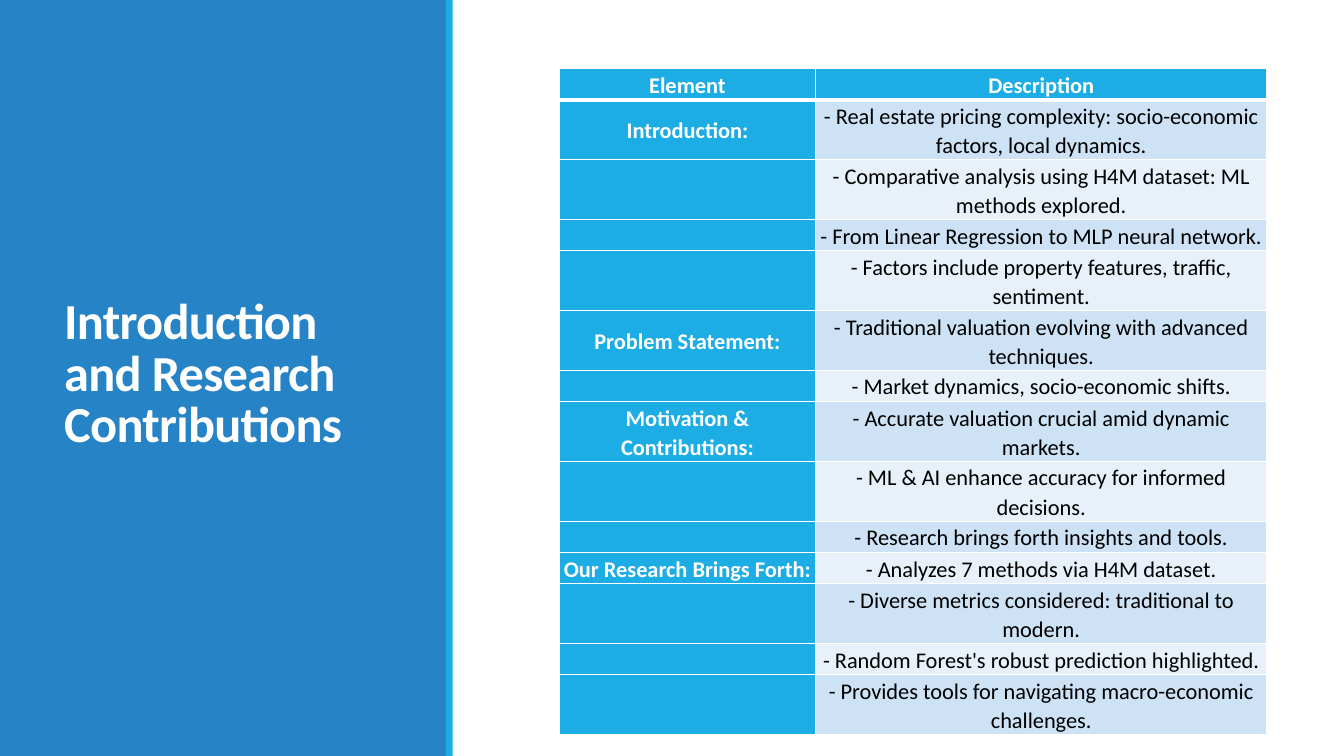
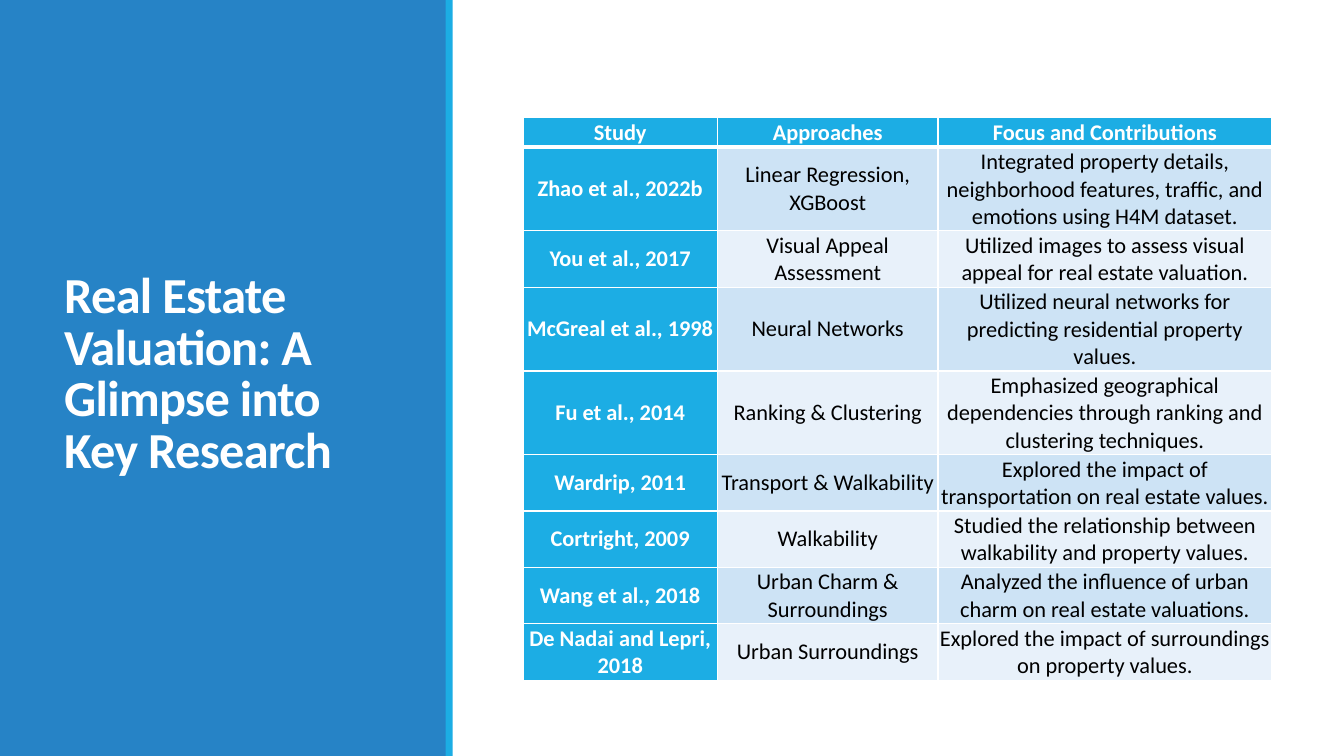
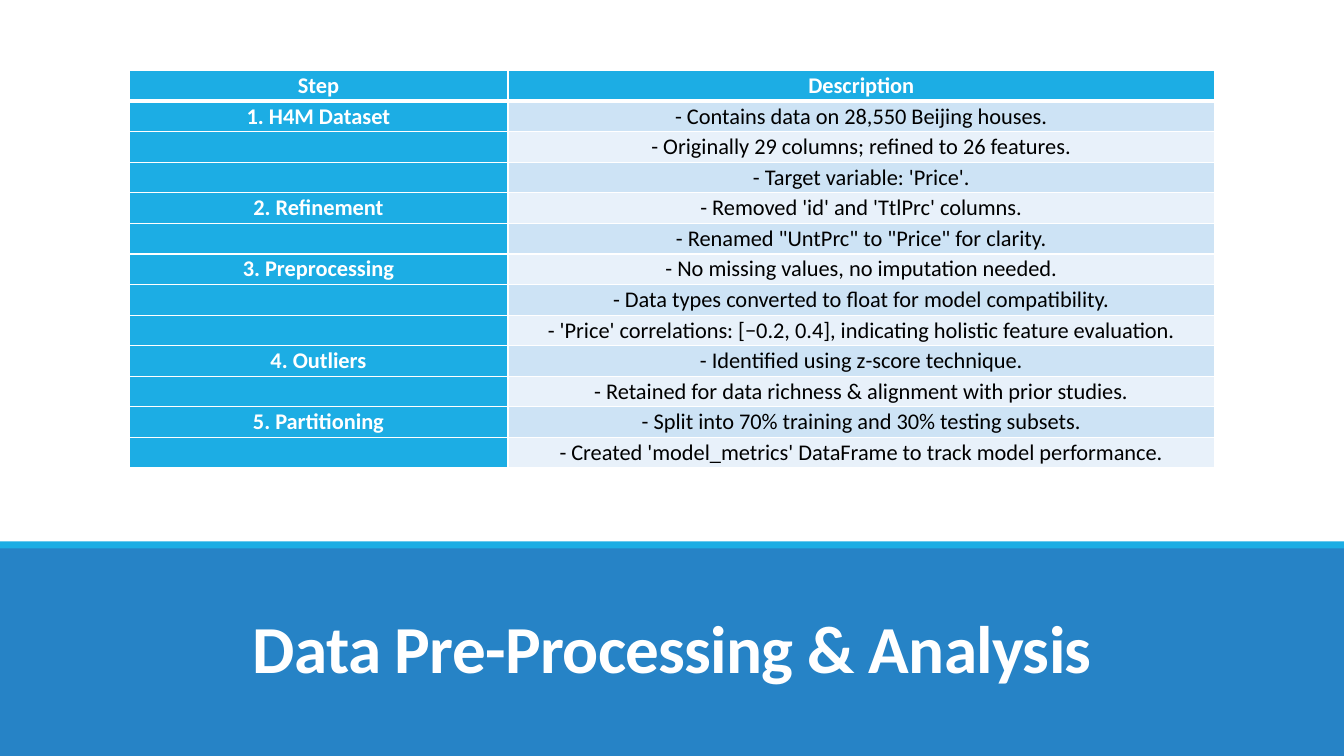
from dataclasses import dataclass

from pptx import Presentation
from pptx import util as u
from pptx.dml.color import RGBColor
from pptx.enum import shapes, text
from pptx.oxml import ns, parse_xml


@dataclass(frozen=True)
class Theme:
    font: str = "Calibri"
    panel: str = "2683C6"
    accent: str = "1CADE4"
    bands: tuple = ("CDE3F5", "E8F1FA")
    light: str = "FFFFFF"
    dark: str = "000000"
    side_title: int = 36
    bottom_title: int = 48
    table_text: int = 16
    thin_border: int = 1
    thick_border: int = 3


class Deck:
    width, height = 33.87, 19.05
    stripe = 0.18

    def __init__(self, theme):
        self.theme = theme
        self.presentation = Presentation()
        self.presentation.slide_width = u.Cm(self.width)
        self.presentation.slide_height = u.Cm(self.height)
        self.slide = None

    def new_slide(self):
        blank = self.presentation.slide_layouts[6]
        self.slide = self.presentation.slides.add_slide(blank)

    def block(self, box, color):
        block = self.slide.shapes.add_shape(
            shapes.MSO_SHAPE.RECTANGLE, *map(u.Cm, box))
        block.shadow.inherit = False
        block.fill.solid()
        block.fill.fore_color.rgb = RGBColor.from_string(color)
        block.line.fill.background()

    def style(self, paragraph, size, color, bold, align):
        paragraph.alignment = align
        font = paragraph.font
        font.name = self.theme.font
        font.size = u.Pt(size)
        font.bold = bold
        font.color.rgb = RGBColor.from_string(color)

    def title(self, wording, box, size, anchor, align):
        frame = self.slide.shapes.add_textbox(*map(u.Cm, box)).text_frame
        frame.word_wrap = True
        frame.vertical_anchor = anchor
        paragraph = frame.paragraphs[0]
        paragraph.text = wording
        paragraph.line_spacing = 0.85
        self.style(paragraph, size, self.theme.light, True, align)
        paragraph._p.pPr.find(ns.qn("a:defRPr")).set("spc", "-50")

    def side_panel(self, wording):
        self.block((0, 0, 11.25, self.height), self.theme.panel)
        self.title(wording, (1.37, 1.45, 8.56, 16.03), self.theme.side_title,
                   text.MSO_ANCHOR.MIDDLE, text.PP_ALIGN.LEFT)
        self.block((11.23, 0, self.stripe, self.height), self.theme.accent)

    def bottom_panel(self, wording):
        self.block((0, 13.77, self.width, 5.28), self.theme.panel)
        self.title(wording, (2.97, 14.58, 27.94, 2.87),
                   self.theme.bottom_title,
                   text.MSO_ANCHOR.BOTTOM, text.PP_ALIGN.CENTER)
        self.block((0, 13.64, self.width, self.stripe), self.theme.accent)

    def borders(self, cell, row):
        properties = cell._tc.get_or_add_tcPr()
        thick_edge = {0: "B", 1: "T"}.get(row)
        for edge in "LRTB":
            points = (self.theme.thick_border if edge == thick_edge
                      else self.theme.thin_border)
            properties.append(parse_xml(
                f'<a:ln{edge} {ns.nsdecls("a")} w="{u.Pt(points)}">'
                f'<a:solidFill><a:srgbClr val="{self.theme.light}"/>'
                f'</a:solidFill></a:ln{edge}>'))

    def cell(self, cell, wording, row, column, spacing):
        theme = self.theme
        heading = row == 0 or column == 0
        self.borders(cell, row)
        cell.fill.solid()
        cell.fill.fore_color.rgb = RGBColor.from_string(
            theme.accent if heading else theme.bands[(row - 1) % 2])
        cell.margin_left = cell.margin_right = u.Cm(0.03)
        cell.margin_top = cell.margin_bottom = u.Cm(0.03)
        cell.vertical_anchor = text.MSO_ANCHOR.MIDDLE
        paragraph = cell.text_frame.paragraphs[0]
        if wording:
            paragraph.text = wording
        if spacing:
            paragraph.line_spacing, paragraph.space_after = spacing
        self.style(paragraph, theme.table_text,
                   theme.light if heading else theme.dark,
                   heading, text.PP_ALIGN.CENTER)

    def table(self, left, top, widths, rows, line_counts, line_height,
              spacing=None):
        heights = [count * line_height + 0.04 for count in line_counts]
        table = self.slide.shapes.add_table(
            len(rows), len(widths), u.Cm(left), u.Cm(top),
            u.Cm(sum(widths)), u.Cm(sum(heights))).table
        for column, width in zip(table.columns, widths):
            column.width = u.Cm(width)
        for row, height in zip(table.rows, heights):
            row.height = u.Cm(height)
        for r, wordings in enumerate(rows):
            for c, wording in enumerate(wordings):
                self.cell(table.cell(r, c), wording, r, c, spacing)


def grouped_rows(header, groups):
    rows = [header]
    for label, points in groups:
        for i, point in enumerate(points):
            rows.append((label if i == 0 else "", f"- {point}"))
    return rows


CONTRIBUTIONS = grouped_rows(("Element", "Description"), [
    ("Introduction:", [
        "Real estate pricing complexity: socio-economic factors, local dynamics.",
        "Comparative analysis using H4M dataset: ML methods explored.",
        "From Linear Regression to MLP neural network.",
        "Factors include property features, traffic, sentiment."]),
    ("Problem Statement:", [
        "Traditional valuation evolving with advanced techniques.",
        "Market dynamics, socio-economic shifts."]),
    ("Motivation & Contributions:", [
        "Accurate valuation crucial amid dynamic markets.",
        "ML & AI enhance accuracy for informed decisions.",
        "Research brings forth insights and tools."]),
    ("Our Research Brings Forth:", [
        "Analyzes 7 methods via H4M dataset.",
        "Diverse metrics considered: traditional to modern.",
        "Random Forest's robust prediction highlighted.",
        "Provides tools for navigating macro-economic challenges."]),
])

STUDIES = [
    ("Study", "Approaches", "Focus and Contributions"),
    ("Zhao et al., 2022b", "Linear Regression, XGBoost",
     "Integrated property details, neighborhood features, traffic, and "
     "emotions using H4M dataset."),
    ("You et al., 2017", "Visual Appeal Assessment",
     "Utilized images to assess visual appeal for real estate valuation."),
    ("McGreal et al., 1998", "Neural Networks",
     "Utilized neural networks for predicting residential property values."),
    ("Fu et al., 2014", "Ranking & Clustering",
     "Emphasized geographical dependencies through ranking and clustering "
     "techniques."),
    ("Wardrip, 2011", "Transport & Walkability",
     "Explored the impact of transportation on real estate values."),
    ("Cortright, 2009", "Walkability",
     "Studied the relationship between walkability and property values."),
    ("Wang et al., 2018", "Urban Charm & Surroundings",
     "Analyzed the influence of urban charm on real estate valuations."),
    ("De Nadai and Lepri, 2018", "Urban Surroundings",
     "Explored the impact of surroundings on property values."),
]

STEPS = grouped_rows(("Step", "Description"), [
    ("1. H4M Dataset", [
        "Contains data on 28,550 Beijing houses.",
        "Originally 29 columns; refined to 26 features.",
        "Target variable: 'Price'."]),
    ("2. Refinement", [
        "Removed 'id' and 'TtlPrc' columns.",
        'Renamed "UntPrc" to "Price" for clarity.']),
    ("3. Preprocessing", [
        "No missing values, no imputation needed.",
        "Data types converted to float for model compatibility.",
        "'Price' correlations: [−0.2, 0.4], indicating holistic feature "
        "evaluation."]),
    ("4. Outliers", [
        "Identified using z-score technique.",
        "Retained for data richness & alignment with prior studies."]),
    ("5. Partitioning", [
        "Split into 70% training and 30% testing subsets.",
        "Created 'model_metrics' DataFrame to track model performance."]),
])


def main():
    deck = Deck(Theme())

    deck.new_slide()
    deck.side_panel("Introduction and Research Contributions")
    deck.table(14.1, 1.73, (6.45, 11.38), CONTRIBUTIONS,
               (1, 2, 2, 1, 2, 2, 1, 2, 2, 1, 1, 2, 1, 2), 0.73,
               spacing=(1.07, u.Pt(8)))

    deck.new_slide()
    deck.side_panel("Real Estate Valuation: A Glimpse into Key Research")
    deck.table(13.18, 2.97, (4.9, 5.56, 8.41), STUDIES,
               (1, 3, 2, 3, 3, 2, 2, 2, 2), 0.69)

    deck.new_slide()
    deck.bottom_panel("Data Pre-Processing & Analysis")
    deck.table(3.25, 1.78, (9.55, 17.81), STEPS, [1] * len(STEPS), 0.73)

    deck.presentation.save("out.pptx")


if __name__ == "__main__":
    main()
